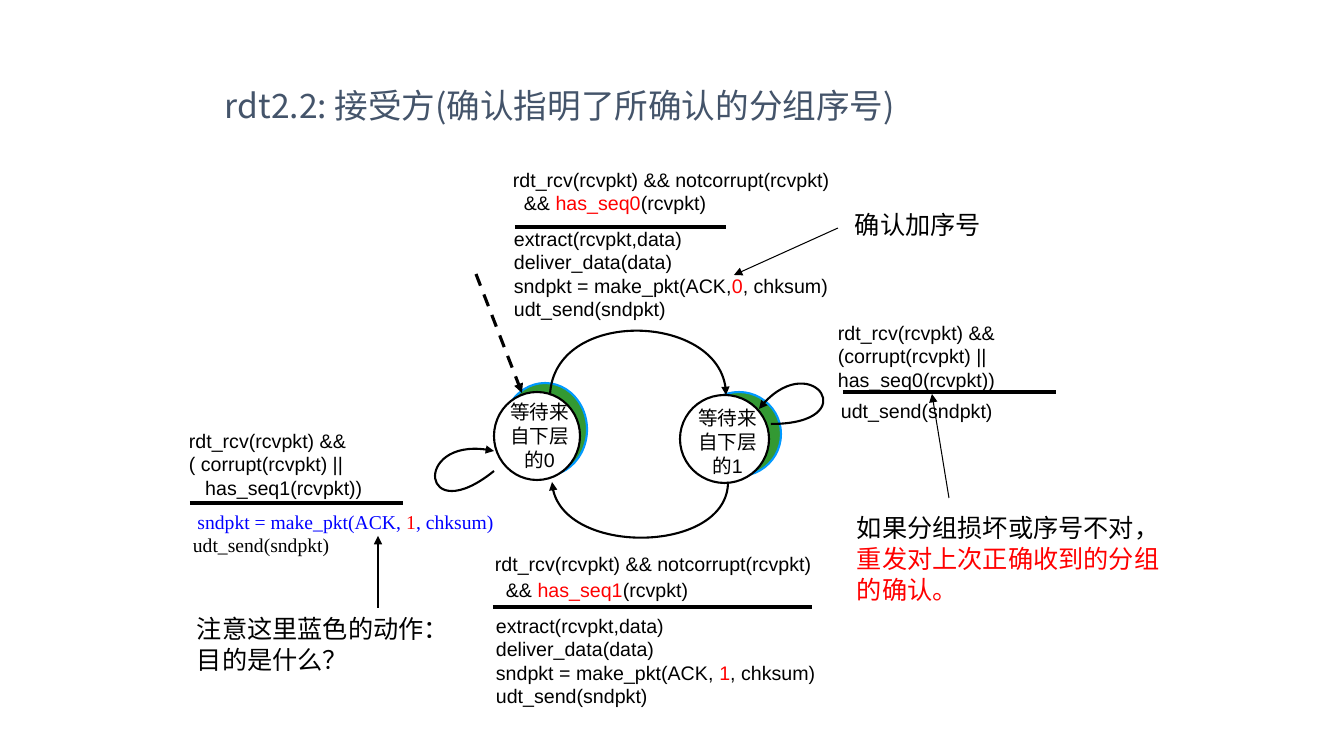
import lxml.etree
import pptx
import pptx.dml.color
import pptx.enum.dml
import pptx.enum.shapes
import pptx.enum.text
import pptx.oxml.ns
import pptx.util

PX = 914400 / 100.8
COLOURS = {
    "black": "000000", "white": "FFFFFF", "red": "FF0000", "blue": "0000FF",
    "green": "339933", "rim": "0099FF", "slate": "44546A",
}
CJK = "Noto Sans CJK SC"
ALIGN = pptx.enum.text.PP_ALIGN
ANCHOR = pptx.enum.text.MSO_ANCHOR
qn = pptx.oxml.ns.qn


def emu(px):
    return pptx.util.Emu(round(px * PX))


def rgb(name):
    return pptx.dml.color.RGBColor.from_string(COLOURS[name])


def bezier(points, t):
    """Return the point at t on a cubic curve, rounded to px."""
    weights = ((1 - t) ** 3, 3 * t * (1 - t) ** 2, 3 * t * t * (1 - t), t ** 3)
    return tuple(round(sum(w * p[axis] for w, p in zip(weights, points)))
                 for axis in (0, 1))


class Diagram:
    CODE = {"size": 14, "font": "Arial", "spacing": 16.7}
    STATE = {"size": 14, "font": "Arial", "spacing": 17, "align": ALIGN.CENTER}
    NOTE = {"size": 18, "font": CJK, "spacing": 22, "wrap": False}

    def __init__(self, slide):
        self.slide = slide
        self.shapes = slide.shapes

    def style_line(self, shape, width, colour="black", head=None, tail=None, dash=None):
        values = {"width": pptx.util.Pt(width), "dash_style": dash}
        shape.line.color.rgb = rgb(colour)
        for name, value in values.items():
            setattr(shape.line, name, value)
        for tag, arrow in (("a:headEnd", head), ("a:tailEnd", tail)):
            if arrow:
                line = shape.line._get_or_add_ln()
                lxml.etree.SubElement(line, qn(tag), type=arrow)

    def text(self, box, lines, size, font, spacing=None, colours=("black",),
             align=None, wrap=True, anchor=ANCHOR.TOP):
        """Add a text box; pieces between ~ marks are red."""
        shape = self.shapes.add_textbox(*map(emu, box))
        frame = shape.text_frame
        frame.word_wrap = wrap
        frame.vertical_anchor = anchor
        if not wrap:
            frame.auto_size = pptx.enum.text.MSO_AUTO_SIZE.SHAPE_TO_FIT_TEXT
        for index, line in enumerate(lines):
            paragraph = frame.add_paragraph() if index else frame.paragraphs[0]
            if spacing:
                paragraph.line_spacing = pptx.util.Pt(spacing)
            if align and not index:
                paragraph.alignment = align
            for position, piece in enumerate(line.split("~")):
                if not piece:
                    continue
                run = paragraph.add_run()
                run.text = piece
                for name, value in {"size": pptx.util.Pt(size), "name": font}.items():
                    setattr(run.font, name, value)
                colour = "red" if position % 2 else colours[index % len(colours)]
                run.font.color.rgb = rgb(colour)
                lxml.etree.SubElement(run._r.get_or_add_rPr(), qn("a:ea"), typeface=CJK)

    def ellipse(self, box, fill, line):
        shape = self.shapes.add_shape(
            pptx.enum.shapes.MSO_SHAPE.OVAL, *map(emu, box))
        shape.shadow.inherit = False
        shape.fill.solid()
        shape.fill.fore_color.rgb = rgb(fill)
        self.style_line(shape, 1.5, line)

    def line(self, start, end, width, **style):
        connector = self.shapes.add_connector(
            pptx.enum.shapes.MSO_CONNECTOR.STRAIGHT, *map(emu, start + end))
        self.style_line(connector, width, **style)
        lxml.etree.SubElement(connector._element.spPr, qn("a:effectLst"))

    def curve(self, points, **arrows):
        """Add an open cubic curve from start, two controls and end."""
        samples = [bezier(points, step / 40) for step in range(41)]
        builder = self.shapes.build_freeform(*samples[0], scale=PX)
        builder.add_line_segments(samples[1:], close=False)
        shape = builder.convert_to_shape()
        left, top = (min(axis) for axis in zip(*samples))
        outline = shape._element.spPr.find(".//" + qn("a:path"))
        for segment in outline.findall(qn("a:lnTo")):
            outline.remove(segment)
        cubic = lxml.etree.SubElement(outline, qn("a:cubicBezTo"))
        for x, y in points[1:]:
            lxml.etree.SubElement(cubic, qn("a:pt"), x=str(x - left), y=str(y - top))
        shape.shadow.inherit = False
        shape.fill.background()
        self.style_line(shape, 1.5, **arrows)


def event(bit):
    return ["rdt_rcv(rcvpkt) && notcorrupt(rcvpkt)", f"  && ~has_seq{bit}~(rcvpkt)"]


def action(ack):
    return ["extract(rcvpkt,data)", "deliver_data(data)",
            f"sndpkt = make_pkt(ACK,{ack}, chksum)", "udt_send(sndpkt)"]


def main():
    presentation = pptx.Presentation()
    presentation.slide_width = emu(1344)
    presentation.slide_height = emu(756)
    diagram = Diagram(presentation.slides.add_slide(presentation.slide_layouts[6]))
    code, state, note = diagram.CODE, diagram.STATE, diagram.NOTE

    diagram.text((215, 73, 771, 64), ["rdt2.2: 接受方(确认指明了所确认的分组序号)"],
                 24, CJK, colours=("slate",), anchor=ANCHOR.MIDDLE)

    # States
    for box in ((697, 392, 84, 84), (503, 383, 84, 93)):
        diagram.ellipse(box, "green", "rim")
    for bit, circle, label in (
        (0, (494, 392, 86, 88), (495, 395, 89, 68)),
        (1, (680, 395, 89, 88), (683, 401, 89, 68)),
    ):
        diagram.ellipse(circle, "white", "black")
        diagram.text(label, [f"等待来自下层的{bit}"], **state)

    # Transitions
    diagram.line((476, 274), (522, 393), 2.25, tail="triangle",
                 dash=pptx.enum.dml.MSO_LINE.DASH)
    diagram.curve([(550, 395), (554, 308), (726, 313), (726, 395)], tail="triangle")
    diagram.curve([(552, 482), (556, 557), (728, 553), (728, 482)], head="triangle")
    diagram.curve([(771, 424), (865, 424), (810, 344), (759, 409)], tail="triangle")
    diagram.curve([(494, 471), (421, 530), (412, 433), (494, 451)], tail="triangle")

    # Bars between events and actions
    for left, right, y in ((493, 812, 607), (515, 726, 227),
                           (843, 1056, 392), (190, 403, 503)):
        diagram.line((left, y), (right, y), 2.25)

    # Events and actions
    diagram.text((503, 163, 438, 62), event(0), **code)
    diagram.text((504, 222, 383, 78), action("~0~"), **code)
    diagram.text((485, 545, 395, 62), event(1), **{**code, "spacing": 18.5})
    diagram.text((486, 609, 424, 110), action(" ~1~"), **code)
    diagram.text((828, 316, 317, 68), ["rdt_rcv(rcvpkt) &&", "(corrupt(rcvpkt) ||",
                                       "has_seq0(rcvpkt))"], **code)
    diagram.text((831, 394, 334, 45), ["udt_send(sndpkt)"], **code)
    diagram.text((179, 424, 289, 68), ["rdt_rcv(rcvpkt) &&", "( corrupt(rcvpkt) ||",
                                       "   has_seq1(rcvpkt))"], **code)
    diagram.text((183, 505, 325, 45),
                 ["sndpkt = make_pkt(ACK, ~1~, chksum)", "udt_send(sndpkt)"],
                 14, "Times New Roman", 16.7, ("blue", "black"), ALIGN.CENTER)

    # Notes with pointers
    diagram.text((847, 507, 323, 101), ["如果分组损坏或序号不对，",
                                        "~重发对上次正确收到的分组~", "~的确认。~"], **note)
    diagram.text((845, 204, 146, 40), ["确认加序号"], **note)
    diagram.text((187, 608, 272, 101), ["注意这里蓝色的动作：", "目的是什么？"],
                 **{**note, "font": "Arial"})
    for start, end in (((949, 498), (932, 394)), ((838, 228), (734, 275)),
                       ((378, 608), (378, 536))):
        diagram.line(start, end, 0.75, tail="triangle")

    presentation.save("out.pptx")


if __name__ == "__main__":
    main()
